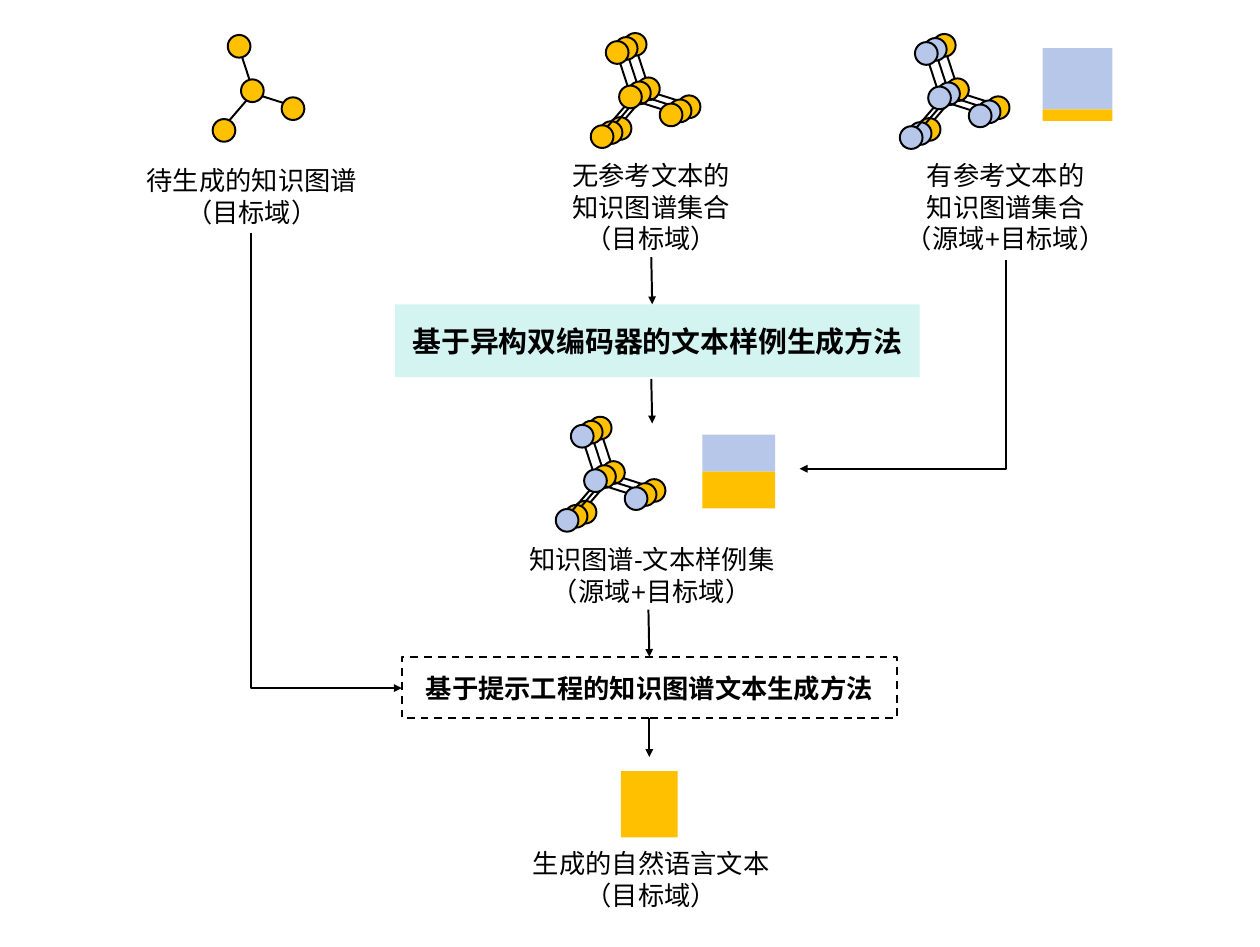
from collections import namedtuple
from pptx import Presentation
from pptx.dml.color import RGBColor
from pptx.enum.dml import MSO_LINE
from pptx.enum.shapes import MSO_CONNECTOR, MSO_SHAPE
from pptx.enum.text import MSO_ANCHOR, PP_ALIGN
from pptx.oxml.ns import qn
from pptx.util import Inches, Pt
from lxml.etree import SubElement

# Grid: 133.3 columns by 100.2 rows of square cells
COLUMNS, ROWS = 133.3, 100.2
CELL = Inches(0.1)
COLORS = {"target": "FFC000", "source": "B6C7EA", "method": "D4F4F2", "ink": "000000"}
Box = namedtuple("Box", "left top width height")

# Knowledge graph layer, in cells from its top left corner
NODE_SIZE = 2.4
NODES = [(1.6, 0), (3, 4.7), (0, 8.9), (7.3, 6.6)]
EDGES = [((3.1, 2.3), (3.9, 4.75)), ((1.8, 9), (3.6, 6.9)), ((7.5, 7.2), (5.3, 6.5))]
LAYER_STEP = (-0.95, 0.43)

CAPTION_FONT = {"size": Pt(20), "name": "Arial", "bold": False}
METHOD_FONT = {"size": Pt(20), "name": "Arial", "bold": True}
MAIN_METHOD_FONT = {**METHOD_FONT, "size": Pt(22)}


def cells(*values):
    return [round(value * CELL) for value in values]


def rgb(name):
    return RGBColor.from_string(COLORS[name])


def ink_line(line):
    line.color.rgb = rgb("ink")
    line.width = Pt(1.5)


def add_filled(shapes, kind, box, fill=None, outlined=False):
    shape = shapes.add_shape(kind, *cells(*box))
    shape.shadow.inherit = False
    if fill:
        shape.fill.solid()
        shape.fill.fore_color.rgb = rgb(fill)
    else:
        shape.fill.background()
    if outlined:
        ink_line(shape.line)
    else:
        shape.line.fill.background()
    return shape


def add_line(shapes, start, end, arrow=False):
    connector = shapes.add_connector(MSO_CONNECTOR.STRAIGHT, *cells(*start, *end))
    ink_line(connector.line)
    if arrow:
        SubElement(connector.line._get_or_add_ln(), qn("a:tailEnd"), type="triangle")
    SubElement(connector._element.spPr, qn("a:effectLst"))
    return connector


def add_down_across_arrow(shapes, start, end):
    """Arrow that goes straight down, then sideways: a quarter-turned elbow."""
    across, down = end[0] - start[0], end[1] - start[1]
    connector = add_line(shapes, start, end, arrow=True)
    connector.left, connector.top, connector.width, connector.height = cells(
        (start[0] + end[0] - down) / 2, (start[1] + end[1] - abs(across)) / 2,
        down, abs(across))
    properties = connector._element.spPr
    properties.find(qn("a:prstGeom")).set("prst", "bentConnector2")
    transform = properties.find(qn("a:xfrm"))
    for name in ("flipH", "flipV"):
        transform.attrib.pop(name, None)
    transform.set("rot", "5400000")
    if across > 0:
        transform.set("flipV", "1")


def write_text(frame, lines, font_format):
    frame.word_wrap = True
    for index, line in enumerate(lines):
        paragraph = frame.paragraphs[0] if index == 0 else frame.add_paragraph()
        paragraph.alignment = PP_ALIGN.CENTER
        run = paragraph.add_run()
        run.text = line
        run.font.color.rgb = rgb("ink")
        for name, value in font_format.items():
            setattr(run.font, name, value)


def add_caption(shapes, box, lines):
    write_text(shapes.add_textbox(*cells(*box)).text_frame, lines, CAPTION_FONT)


def add_graph_stack(shapes, left, top, layers):
    """Overlapping knowledge graphs, from the back layer to the front one."""
    for depth, fill in enumerate(layers):
        x, y = left + depth * LAYER_STEP[0], top + depth * LAYER_STEP[1]
        group = shapes.add_group_shape()
        for node_x, node_y in NODES:
            node = Box(x + node_x, y + node_y, NODE_SIZE, NODE_SIZE)
            add_filled(group.shapes, MSO_SHAPE.OVAL, node, fill, outlined=True)
        for start, end in EDGES:
            add_line(group.shapes, (x + start[0], y + start[1]), (x + end[0], y + end[1]))


def add_text_samples(shapes, box, source_share):
    """Block of text samples, split into source and target domain."""
    split = box.height * source_share
    if split:
        add_filled(shapes, MSO_SHAPE.RECTANGLE, box._replace(height=split), "source")
    target = box._replace(top=box.top + split, height=box.height - split)
    add_filled(shapes, MSO_SHAPE.RECTANGLE, target, "target")


def add_method(shapes, box, name, font_format, fill=None):
    method = add_filled(shapes, MSO_SHAPE.RECTANGLE, box, fill, outlined=not fill)
    if not fill:
        method.line.dash_style = MSO_LINE.DASH
    method.text_frame.vertical_anchor = MSO_ANCHOR.MIDDLE
    write_text(method.text_frame, [name], font_format)
    return method


def add_inputs(shapes):
    # Graph to be verbalised
    add_graph_stack(shapes, 22.5, 3.7, ["target"])
    add_caption(shapes, Box(14.3, 16.9, 24.7, 7.7), ["待生成的知识图谱（目标域）"])
    # Graphs without reference text
    add_graph_stack(shapes, 64.4, 3.5, ["target"] * 3)
    add_caption(shapes, Box(59.5, 16.4, 18.8, 11.1),
                ["无参考文本的", "知识图谱集合", "（目标域）"])
    # Graphs with reference text
    add_graph_stack(shapes, 97.1, 3.6, ["target", "source", "source"])
    add_text_samples(shapes, Box(110.3, 5.1, 7.4, 7.7), 0.84)
    add_caption(shapes, Box(93.9, 16.4, 25, 11.1),
                ["有参考文本的", "知识图谱集合", "（源域+目标域）"])


def add_samples(shapes):
    add_graph_stack(shapes, 60.7, 44.1, ["target", "target", "source"])
    add_text_samples(shapes, Box(74.3, 46, 7.7, 7.8), 0.5)
    add_caption(shapes, Box(53.4, 57, 31.1, 7.7), ["知识图谱-文本样例集", "（源域+目标域）"])


def add_output(shapes):
    add_text_samples(shapes, Box(65.7, 81.6, 6, 7), 0)
    add_caption(shapes, Box(54.6, 89.2, 28.6, 7.7), ["生成的自然语言文本", "（目标域）"])


def add_flow(shapes, prompting):
    add_down_across_arrow(shapes, (106.4, 27.5), (84.6, 49.6))
    add_down_across_arrow(shapes, (26.6, 24.6), (42.5, 72.8))
    add_line(shapes, (68.9, 27.2), (69, 32.2), arrow=True)
    add_line(shapes, (68.9, 40.1), (69, 44.8), arrow=True)
    add_line(shapes, (68.6, 64.5), (68.7, 69.5), arrow=True).end_connect(prompting, 0)
    add_line(shapes, (68.7, 76), (68.7, 80.1), arrow=True).begin_connect(prompting, 2)


def main():
    presentation = Presentation()
    presentation.slide_width, presentation.slide_height = cells(COLUMNS, ROWS)
    slide = presentation.slides.add_slide(presentation.slide_layouts[6])
    shapes = slide.shapes
    add_inputs(shapes)
    add_method(shapes, Box(41.8, 32.2, 55.5, 7.7), "基于异构双编码器的文本样例生成方法",
               MAIN_METHOD_FONT, "method")
    add_samples(shapes)
    prompting = add_method(shapes, Box(42.5, 69.5, 52.4, 6.5),
                           "基于提示工程的知识图谱文本生成方法", METHOD_FONT)
    add_output(shapes)
    add_flow(shapes, prompting)
    presentation.save("out.pptx")


if __name__ == "__main__":
    main()
